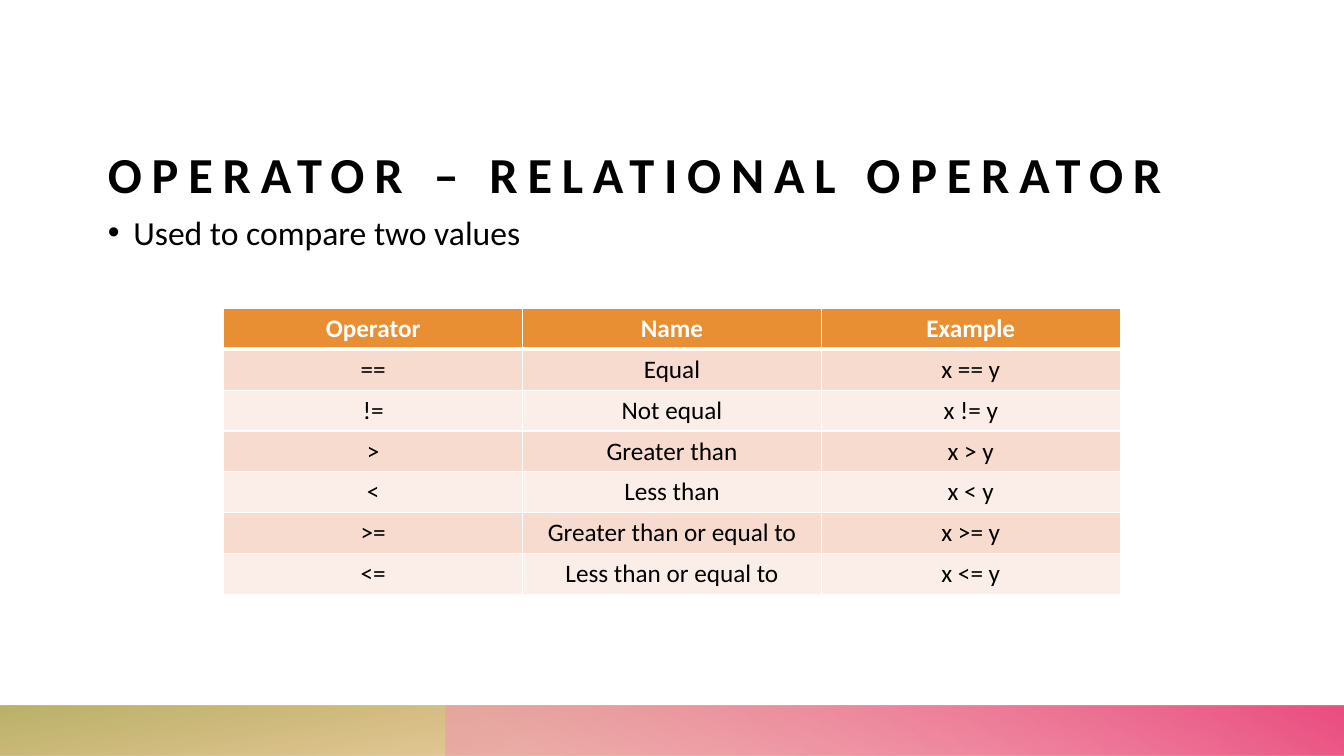
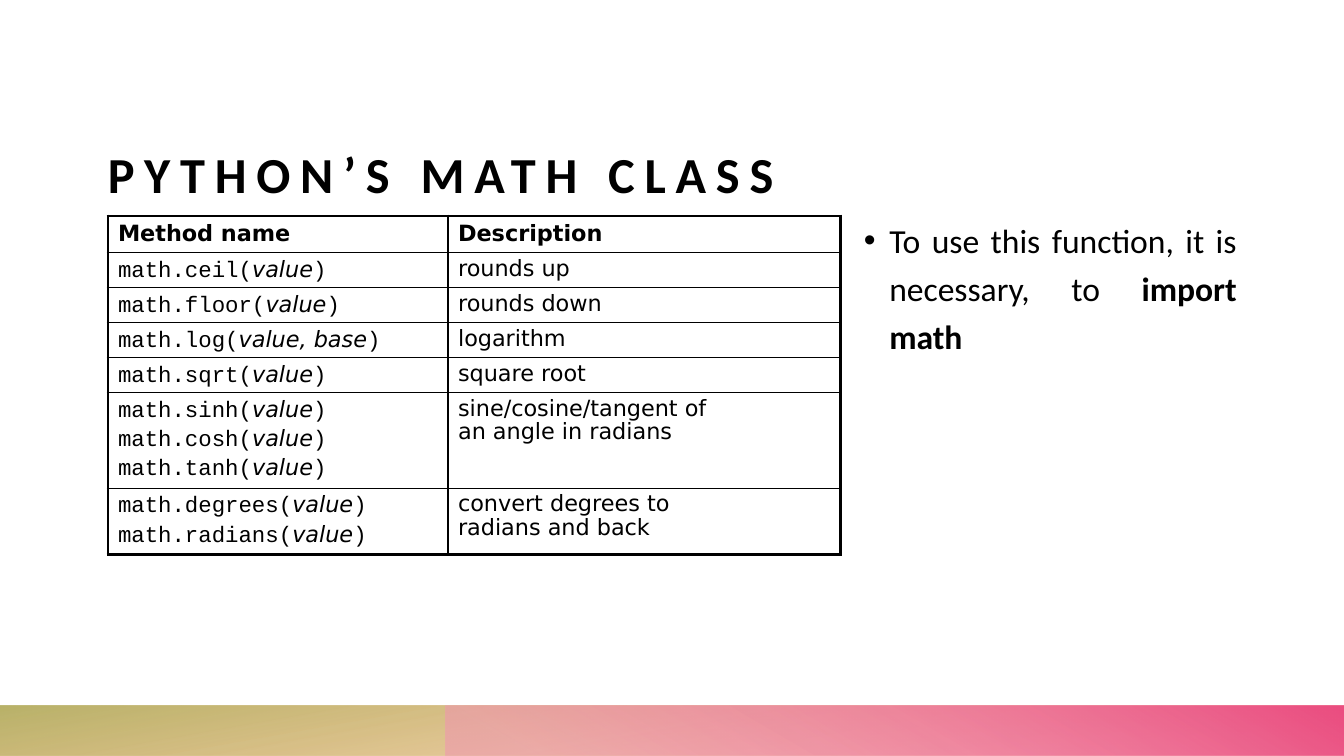
"""Build two slides on relational operators and the math class."""
from lxml.etree import SubElement as Sub
from pptx import Presentation
from pptx.dml.color import RGBColor
from pptx.enum.shapes import MSO_SHAPE as Kind
from pptx.enum.text import MSO_ANCHOR as Anchor, MSO_AUTO_SIZE as Fit, PP_ALIGN as Align
from pptx.oxml.ns import qn
from pptx.util import Cm, Pt


def hue(code):
    return RGBColor.from_string(code)


def form(item, vals):
    for name, val in vals.items():
        setattr(item, name, val)


BLACK, WHITE, GOLD = "000000", "FFFFFF", "E88F33"
SANS, WIDE, MONO = "Calibri", "DejaVu Sans", "Courier New"
LEFT, SPAN = 2.72, 28.45
BARE = {"margin_left": 0, "margin_right": 0, "margin_top": 0, "margin_bottom": 0,
        "word_wrap": True, "auto_size": Fit.NONE}
HEAD = {"size": Pt(36), "name": SANS, "bold": True}
BODY = {"size": Pt(24), "name": SANS}

bands = [
    {"left": 0, "turn": 180, "angle": 100, "stops": [(0.14, GOLD, 28), (1, "ACA54F", 85)]},
    {"left": 11.22, "turn": 0, "angle": 240, "stops": [(0.09, "F395B3", 55), (0.99, "EB4E81", 100)]},
]

pages = [
    {
        "title": "OPERATOR – RELATIONAL OPERATOR",
        "body": "Used to compare two values",
        "box": (LEFT, 5.13, SPAN, 11),
        "align": Align.LEFT,
        "at": (5.64, 7.77),
        "cols": [7.53] * 3,
        "highs": [1.03] * 7,
        "line": WHITE, "rim": 1, "rule": 3,
        "fills": [GOLD, "F6DBCE", "FBEEE8"],
        "head": WHITE, "size": 18, "font": SANS, "lead": 1, "side": Align.CENTER,
        "rows": [
            ("Operator", "Name", "Example"),
            ("==", "Equal", "x == y"),
            ("!=", "Not equal", "x != y"),
            (">", "Greater than", "x > y"),
            ("<", "Less than", "x < y"),
            (">=", "Greater than or equal to", "x >= y"),
            ("<=", "Less than or equal to", "x <= y"),
        ],
    },
    {
        "title": "PYTHON’S MATH CLASS",
        "body": "To use this function, it is necessary, to |import math",
        "box": (21.77, 5.33, 9.4, 11),
        "align": Align.JUSTIFY,
        "at": (LEFT, 5.44),
        "cols": [8.57, 9.89],
        "highs": [0.93] + [0.88] * 4 + [2.41, 1.68],
        "line": BLACK, "rim": 2.25, "rule": 1,
        "fills": [WHITE] * 3,
        "head": BLACK, "size": 16, "font": WIDE, "lead": 0.9, "side": Align.LEFT,
        "rows": [
            ("Method name", "Description"),
            ("math.ceil(|value|)", "rounds up"),
            ("math.floor(|value|)", "rounds down"),
            ("math.log(|value, base|)", "logarithm"),
            ("math.sqrt(|value|)", "square root"),
            ("math.sinh(|value|)\nmath.cosh(|value|)\nmath.tanh(|value|)",
             "sine/cosine/tangent of\van angle in radians"),
            ("math.degrees(|value|)\nmath.radians(|value|)",
             "convert degrees to\vradians and back"),
        ],
    },
]

prs = Presentation()
form(prs, {"slide_width": Cm(33.87), "slide_height": Cm(19.05)})
slides = [prs.slides.add_slide(prs.slide_layouts[1]) for page in pages]

tree = prs.slide_master.shapes.element
for num, band in enumerate(bands):
    bar = slides[0].shapes.add_shape(
        Kind.RECTANGLE, Cm(band["left"]), Cm(17.78), Cm(33.87 - band["left"]), Cm(1.27))
    bar.shadow.inherit = False
    bar.line.fill.background()
    bar.rotation = band["turn"]
    bar.element.xpath(".//a:xfrm")[0].set("flipH", "1")
    bar.fill.gradient()
    bar.fill.gradient_angle = 360 - band["angle"]
    for stop, (place, code, solid) in zip(bar.fill.gradient_stops, band["stops"]):
        stop.position = place
        stop.color.rgb = hue(code)
    for tint, (place, code, solid) in zip(bar.element.xpath(".//a:srgbClr"), band["stops"]):
        Sub(tint, qn("a:alpha")).set("val", str(solid * 1000))
    bar.element.xpath(".//p:cNvPr")[0].set("id", str(20 + num))
    tree.insert(2 + num, bar.element)

for slide, page in zip(slides, pages):
    title, body = slide.shapes.title, slide.placeholders[1]
    for shape, box in ((title, (LEFT, 1.7, SPAN, 3.43)), (body, page["box"])):
        form(shape, dict(zip(("left", "top", "width", "height"), map(Cm, box))))
        form(shape.text_frame, BARE)
    title.text_frame.vertical_anchor = Anchor.BOTTOM
    para = title.text_frame.paragraphs[0]
    para.alignment = Align.LEFT
    run = para.add_run()
    run.text = page["title"]
    form(run.font, HEAD)
    run.font.color.rgb = hue(BLACK)
    run.font._element.set("spc", "700")

    body.text_frame.vertical_anchor = Anchor.TOP
    para = body.text_frame.paragraphs[0]
    props = para._p.get_or_add_pPr()
    props.set("marL", str(Cm(0.64)))
    props.set("indent", str(Cm(-0.64)))
    Sub(props, qn("a:buFont")).set("typeface", "Arial")
    Sub(props, qn("a:buChar")).set("char", "•")
    form(para, {"alignment": page["align"], "line_spacing": 1.2, "space_before": Pt(0)})
    for num, part in enumerate(page["body"].split("|")):
        run = para.add_run()
        run.text = part
        form(run.font, {**BODY, "bold": num == 1})
        run.font.color.rgb = hue(BLACK)

    cols, highs = page["cols"], page["highs"]
    table = slide.shapes.add_table(
        len(highs), len(cols), *map(Cm, page["at"]), Cm(sum(cols)), Cm(sum(highs))).table
    table.horz_banding = False
    for col, width in zip(table.columns, cols):
        col.width = Cm(width)
    for row, high in zip(table.rows, highs):
        row.height = Cm(high)

    last, end = len(highs) - 1, len(cols) - 1
    for r, texts in enumerate(page["rows"]):
        for c, text in enumerate(texts):
            cell = table.cell(r, c)
            rim, rule = page["rim"], page["rule"]
            edges = {
                "a:lnL": rim if c == 0 else 1,
                "a:lnR": rim if c == end else 1,
                "a:lnT": rim if r == 0 else rule if r == 1 else 1,
                "a:lnB": rim if r == last else rule if r == 0 else 1,
            }
            props = cell._tc.get_or_add_tcPr()
            for tag, width in edges.items():
                line = Sub(props, qn(tag))
                line.set("w", str(Pt(width)))
                Sub(Sub(line, qn("a:solidFill")), qn("a:srgbClr")).set("val", page["line"])
            cell.fill.solid()
            cell.fill.fore_color.rgb = hue(page["fills"][0 if r == 0 else 2 - r % 2])
            for n, words in enumerate(text.split("\n")):
                para = cell.text_frame.add_paragraph() if n else cell.text_frame.paragraphs[0]
                form(para, {"alignment": page["side"], "line_spacing": page["lead"] if r else 1,
                            "space_before": Pt(3.2 if n else 0)})
                if "|" in words:
                    for part in words.split("|"):
                        para.add_run().text = part
                else:
                    para.text = words
                for gap in para._p.xpath("a:br"):
                    Sub(gap, qn("a:rPr")).set("sz", str(page["size"] * 100))
                for num, run in enumerate(para.runs):
                    code = "|" in words and num != 1
                    form(run.font, {"size": Pt(page["size"]), "bold": r == 0,
                                    "italic": "|" in words and num == 1,
                                    "name": MONO if code else page["font"]})
                    run.font.color.rgb = hue(BLACK if r else page["head"])

prs.save("out.pptx")
